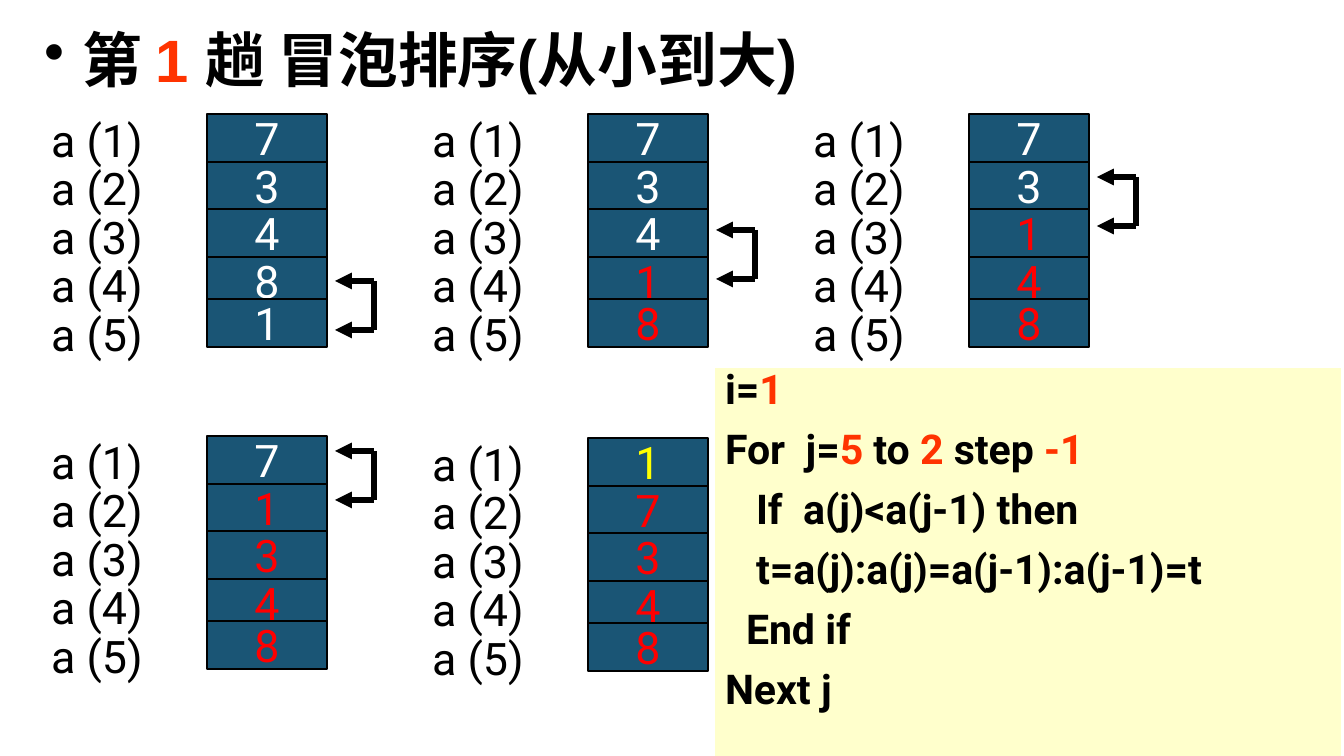
from dataclasses import dataclass

from lxml import etree
from pptx import Presentation
from pptx.dml.color import RGBColor
from pptx.enum.shapes import MSO_CONNECTOR, MSO_SHAPE
from pptx.enum.text import MSO_ANCHOR, PP_ALIGN
from pptx.oxml.ns import qn
from pptx.util import Pt

RECT = MSO_SHAPE.RECTANGLE
STRAIGHT = MSO_CONNECTOR.STRAIGHT
TOP, MIDDLE = MSO_ANCHOR.TOP, MSO_ANCHOR.MIDDLE
LEFT, CENTER = PP_ALIGN.LEFT, PP_ALIGN.CENTER

EMU_PER_PX = 914400 / 134.4
START = [7, 3, 4, 8, 1]
ROW_OFFSETS = [0, 48, 95, 143, 185]
PANEL_STEP = 381
PANELS = [(0, 114, 167), (1, 114, 116), (2, 114, 63), (0, 436, 15), (1, 438, None)]
CODE = [
    (0, [("i=", False), ("1", True)]),
    (0, [("For  j=", False), ("5 ", True), ("to ", False), ("2 ", True),
         ("step", False), (" -1", True)]),
    (31, [("If  a(j)<a(j-1) then", False)]),
    (31, [("t=a(j):a(j)=a(j-1):a(j-1)=t", False)]),
    (21, [("End if", False)]),
    (0, [("Next j", False)]),
]


@dataclass(frozen=True)
class Theme:
    ink: str = "000000"
    accent: str = "FF3300"
    cell: str = "1A5575"
    waiting: str = "FFFFFF"
    compared: str = "FF0000"
    placed: str = "FFFF00"
    code_fill: str = "FFFFCC"
    title_font: str = "Arial"
    body_font: str = "Roboto"
    title_size: int = 32
    body_size: int = 24
    code_size: int = 22


THEME = Theme()


def px(value):
    return round(value * EMU_PER_PX)


def rgb(value):
    return RGBColor.from_string(value)


def set_font(font, name, size, color=None, bold=False):
    font.name = name
    font.size = Pt(size)
    font.bold = bold
    if color:
        font.color.rgb = rgb(color)


def set_insets(tf):
    tf.margin_left = tf.margin_right = px(10)
    tf.margin_top = tf.margin_bottom = px(5)


def add_runs(p, runs):
    for text, accented in runs:
        r = p.add_run()
        r.text = text
        r.font.color.rgb = rgb(THEME.accent if accented else THEME.ink)


def add_cell(shapes, x, y, text, color):
    sp = shapes.add_shape(RECT, px(x), px(y), px(120), px(48))
    sp.shadow.inherit = False
    sp.fill.solid()
    sp.fill.fore_color.rgb = rgb(THEME.cell)
    sp.line.color.rgb = rgb(THEME.ink)
    sp.line.width = Pt(0.75)
    tf = sp.text_frame
    tf.word_wrap = False
    tf.vertical_anchor = MIDDLE
    p = tf.paragraphs[0]
    p.text = text
    p.alignment = CENTER
    set_font(p.font, THEME.body_font, THEME.body_size, color)


def add_label(shapes, x, y, text):
    tf = shapes.add_textbox(px(x), px(y), px(145), px(69)).text_frame
    tf.word_wrap = True
    p = tf.paragraphs[0]
    p.text = text
    set_font(p.font, THEME.body_font, THEME.body_size, THEME.ink)


def add_line(shapes, x1, y1, x2, y2, arrow=False):
    line = shapes.add_connector(STRAIGHT, px(x1), px(y1), px(x2), px(y2))
    line.line.color.rgb = rgb(THEME.ink)
    line.line.width = Pt(3)
    if arrow:
        ln = line.line._get_or_add_ln()
        etree.SubElement(ln, qn("a:tailEnd"), type="triangle")
    etree.SubElement(line._element.spPr, qn("a:effectLst"))


def add_swap_bracket(s, x, y):
    shapes = s.shapes.add_group_shape().shapes
    add_line(shapes, x, y, x, y + 49)
    for end_y in (y, y + 49):
        add_line(shapes, x, end_y, x - 39, end_y, arrow=True)


def value_color(row, swaps):
    if row == 0 and swaps == len(START) - 1:
        return THEME.placed
    if swaps and row >= len(START) - 1 - swaps:
        return THEME.compared
    return THEME.waiting


def add_panel(s, x, y, values, swaps):
    shapes = s.shapes.add_group_shape().shapes
    for row, (value, offset) in enumerate(zip(values, ROW_OFFSETS)):
        add_cell(shapes, x + 169, y + offset, str(value), value_color(row, swaps))
        add_label(shapes, x, y - 8 + row * 194 // 4, f"a ({row + 1})")


def add_title(s):
    tf = s.shapes.add_textbox(px(34), px(26), px(1216), px(60)).text_frame
    tf.word_wrap = True
    set_insets(tf)
    p = tf.paragraphs[0]
    p.line_spacing = 0.9
    set_font(p.font, THEME.title_font, THEME.title_size, bold=True)
    add_runs(p, [("第 ", False), ("1 ", True), ("趟 冒泡排序(从小到大)", False)])
    pPr = p._p.get_or_add_pPr()
    pPr.set("marL", str(px(38)))
    pPr.set("indent", str(-px(38)))
    bullet = etree.Element(qn("a:buChar"), char="•")
    pPr.find(qn("a:defRPr")).addprevious(bullet)


def add_code(s):
    sp = s.shapes.add_shape(RECT, px(715), px(368), px(626), px(448))
    sp.shadow.inherit = False
    sp.fill.solid()
    sp.fill.fore_color.rgb = rgb(THEME.code_fill)
    sp.line.fill.background()
    tf = sp.text_frame
    tf.word_wrap = True
    tf.vertical_anchor = TOP
    set_insets(tf)
    for i, (indent, runs) in enumerate(CODE):
        p = tf.add_paragraph() if i else tf.paragraphs[0]
        p.alignment = LEFT
        p.line_spacing = 0.8
        p.space_before = Pt(11)
        p._p.get_or_add_pPr().set("marL", str(px(indent)))
        set_font(p.font, THEME.body_font, THEME.code_size, bold=True)
        add_runs(p, runs)


def main():
    prs = Presentation()
    prs.slide_width, prs.slide_height = px(1344), px(756)
    s = prs.slides.add_slide(prs.slide_layouts[6])
    add_title(s)
    values = list(START)
    for swaps, (column, y, bracket) in enumerate(PANELS):
        x = 38 + column * PANEL_STEP
        add_panel(s, x, y, values, swaps)
        if bracket is not None:
            add_swap_bracket(s, x + 336, y + bracket)
            j = len(values) - 1 - swaps
            if values[j] < values[j - 1]:
                values[j - 1], values[j] = values[j], values[j - 1]
    add_code(s)
    prs.save("out.pptx")


if __name__ == "__main__":
    main()
